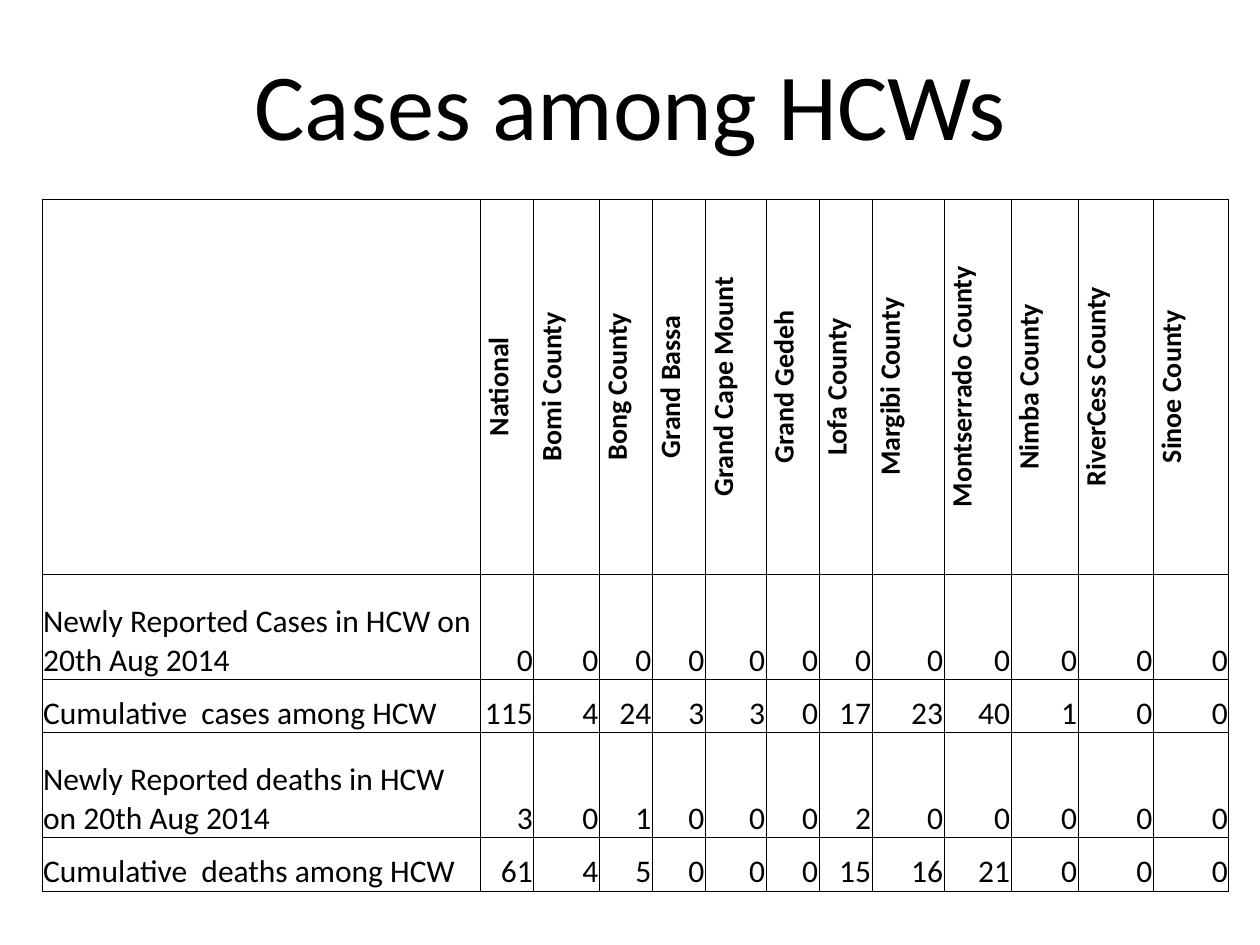
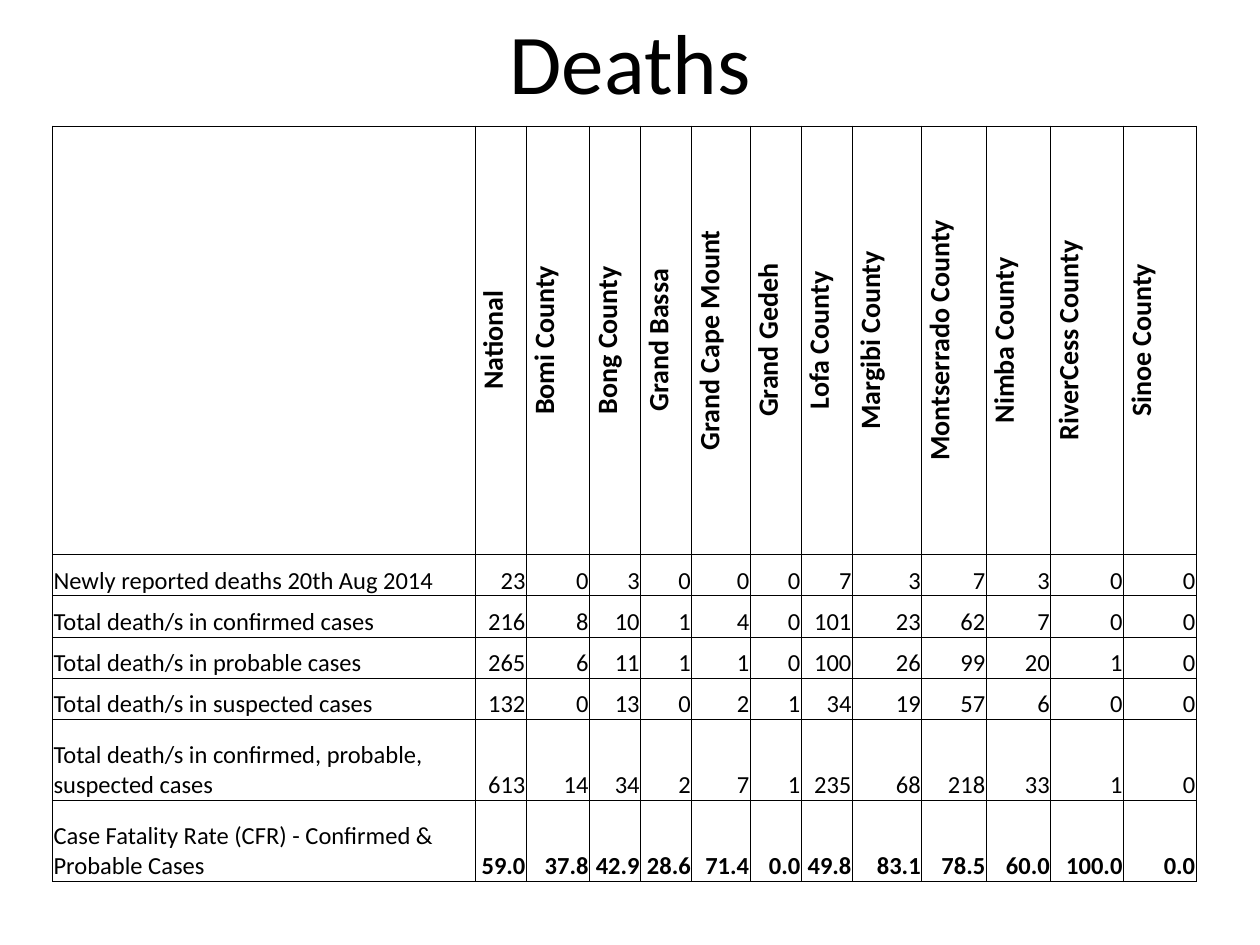
from dataclasses import dataclass

from lxml.etree import SubElement
from pptx import Presentation
from pptx.dml.color import RGBColor
from pptx.enum.text import MSO_ANCHOR as Anchor, MSO_AUTO_SIZE as AutoSize, PP_ALIGN as Align
from pptx.oxml.ns import qn
from pptx.slide import Slide
from pptx.table import _Cell as Cell
from pptx.util import Cm, Pt

# Shared style
BLACK = RGBColor(0, 0, 0)
FONT = "Calibri"
HEADER_SIZE = 16
BORDER_WIDTH = Pt(0.5)
CELL_INSET = Cm(0.02)
TITLE_LEFT, TITLE_WIDTH = 1.27, 22.86
TITLE_ONLY = 5

# Shared columns: label first, then one per area; widths in centimetres
LABEL_WIDTH = 8.84
AREAS = {
    "National": 1.07,
    "Bomi County": 1.32,
    "Bong County": 1.07,
    "Grand Bassa": 1.07,
    "Grand Cape Mount": 1.22,
    "Grand Gedeh": 1.07,
    "Lofa County": 1.07,
    "Margibi County": 1.45,
    "Montserrado County": 1.35,
    "Nimba County": 1.35,
    "RiverCess County": 1.52,
    "Sinoe County": 1.52,
}


@dataclass(frozen=True)
class Measure:
    label: str
    values: str
    height: float
    bold: bool = False


@dataclass(frozen=True)
class CountyReport:
    title: str
    title_top: float
    title_height: float
    title_size: float
    left: float
    top: float
    column_scale: float
    header_height: float
    body_size: int
    measures: tuple[Measure, ...]


REPORTS = (
    CountyReport(
        "Cases among HCWs", 0.76, 2.62, 54,
        left=0.85, top=4.01, column_scale=1, header_height=7.57, body_size=18,
        measures=(
            Measure("Newly Reported Cases in HCW on 20th Aug 2014", "0 0 0 0 0 0 0 0 0 0 0 0", 2.12),
            Measure("Cumulative  cases among HCW", "115 4 24 3 3 0 17 23 40 1 0 0", 1.07),
            Measure("Newly Reported deaths in HCW on 20th Aug 2014", "3 0 1 0 0 0 2 0 0 0 0 0", 2.12),
            Measure("Cumulative  deaths among HCW", "61 4 5 0 0 0 15 16 21 0 0 0", 1.07),
        ),
    ),
    CountyReport(
        "Deaths", 0.43, 1.57, 48.6,
        left=1.06, top=2.54, column_scale=0.964, header_height=8.64, body_size=14,
        measures=(
            Measure("Newly reported deaths 20th Aug 2014", "23 0 3 0 0 0 7 3 7 3 0 0", 0.83),
            Measure("Total death/s in confirmed cases", "216 8 10 1 4 0 101 23 62 7 0 0", 0.83),
            Measure("Total death/s in probable cases", "265 6 11 1 1 0 100 26 99 20 1 0", 0.83),
            Measure("Total death/s in suspected cases", "132 0 13 0 2 1 34 19 57 6 0 0", 0.83),
            Measure("Total death/s in confirmed, probable, suspected cases",
                    "613 14 34 2 7 1 235 68 218 33 1 0", 1.63),
            Measure("Case Fatality Rate (CFR) - Confirmed & Probable Cases",
                    "59.0 37.8 42.9 28.6 71.4 0.0 49.8 83.1 78.5 60.0 100.0 0.0", 1.63, bold=True),
        ),
    ),
)


def format_text(text_frame, size: float, align: Align, bold: bool = False) -> None:
    for paragraph in text_frame.paragraphs:
        paragraph.alignment = align
        for run in paragraph.runs:
            run.font.name = FONT
            run.font.size = Pt(size)
            run.font.bold = bold
            run.font.color.rgb = BLACK


def add_borders(cell: Cell) -> None:
    properties = cell._tc.get_or_add_tcPr()
    for position, side in enumerate(("a:lnL", "a:lnR", "a:lnT", "a:lnB")):
        line = SubElement(properties, qn(side), w=str(BORDER_WIDTH))
        fill = SubElement(line, qn("a:solidFill"))
        SubElement(fill, qn("a:srgbClr"), val=str(BLACK))
        properties.insert(position, line)


def fill_cell(cell: Cell, text: str, size: float, align: Align,
              bold: bool = False, vertical: bool = False) -> None:
    cell.fill.background()
    add_borders(cell)
    cell.margin_left = cell.margin_right = cell.margin_top = CELL_INSET
    cell.margin_bottom = 0
    cell.vertical_anchor = Anchor.MIDDLE if vertical else Anchor.BOTTOM
    if vertical:
        cell._tc.get_or_add_tcPr().set("vert", "vert270")
    cell.text_frame.text = text
    format_text(cell.text_frame, size, align, bold)


def place_title(slide: Slide, report: CountyReport) -> None:
    title = slide.shapes.title
    title.left, title.width = Cm(TITLE_LEFT), Cm(TITLE_WIDTH)
    title.top, title.height = Cm(report.title_top), Cm(report.title_height)
    text_frame = title.text_frame
    text_frame.text = report.title
    text_frame.auto_size = AutoSize.NONE
    text_frame.vertical_anchor = Anchor.MIDDLE
    format_text(text_frame, report.title_size, Align.CENTER)


def add_county_table(slide: Slide, report: CountyReport) -> None:
    widths = [width * report.column_scale for width in (LABEL_WIDTH, *AREAS.values())]
    heights = [report.header_height, *(measure.height for measure in report.measures)]
    table = slide.shapes.add_table(
        len(heights), len(widths), Cm(report.left), Cm(report.top),
        Cm(sum(widths)), Cm(sum(heights))).table
    table.first_row = table.horz_banding = False
    for column, width in zip(table.columns, widths):
        column.width = Cm(width)
    for row, height in zip(table.rows, heights):
        row.height = Cm(height)

    # Header row with upright area names
    fill_cell(table.cell(0, 0), "", HEADER_SIZE, Align.LEFT)
    for column_index, area in enumerate(AREAS, start=1):
        fill_cell(table.cell(0, column_index), area, HEADER_SIZE, Align.CENTER,
                  bold=True, vertical=True)

    # One row per measure
    for row_index, measure in enumerate(report.measures, start=1):
        fill_cell(table.cell(row_index, 0), measure.label, report.body_size, Align.LEFT)
        for column_index, value in enumerate(measure.values.split(), start=1):
            fill_cell(table.cell(row_index, column_index), value, report.body_size,
                      Align.RIGHT, measure.bold)


def main() -> None:
    presentation = Presentation()
    presentation.slide_width, presentation.slide_height = Cm(25.4), Cm(19.05)
    for report in REPORTS:
        slide = presentation.slides.add_slide(presentation.slide_layouts[TITLE_ONLY])
        place_title(slide, report)
        add_county_table(slide, report)
    presentation.save("out.pptx")


if __name__ == "__main__":
    main()
